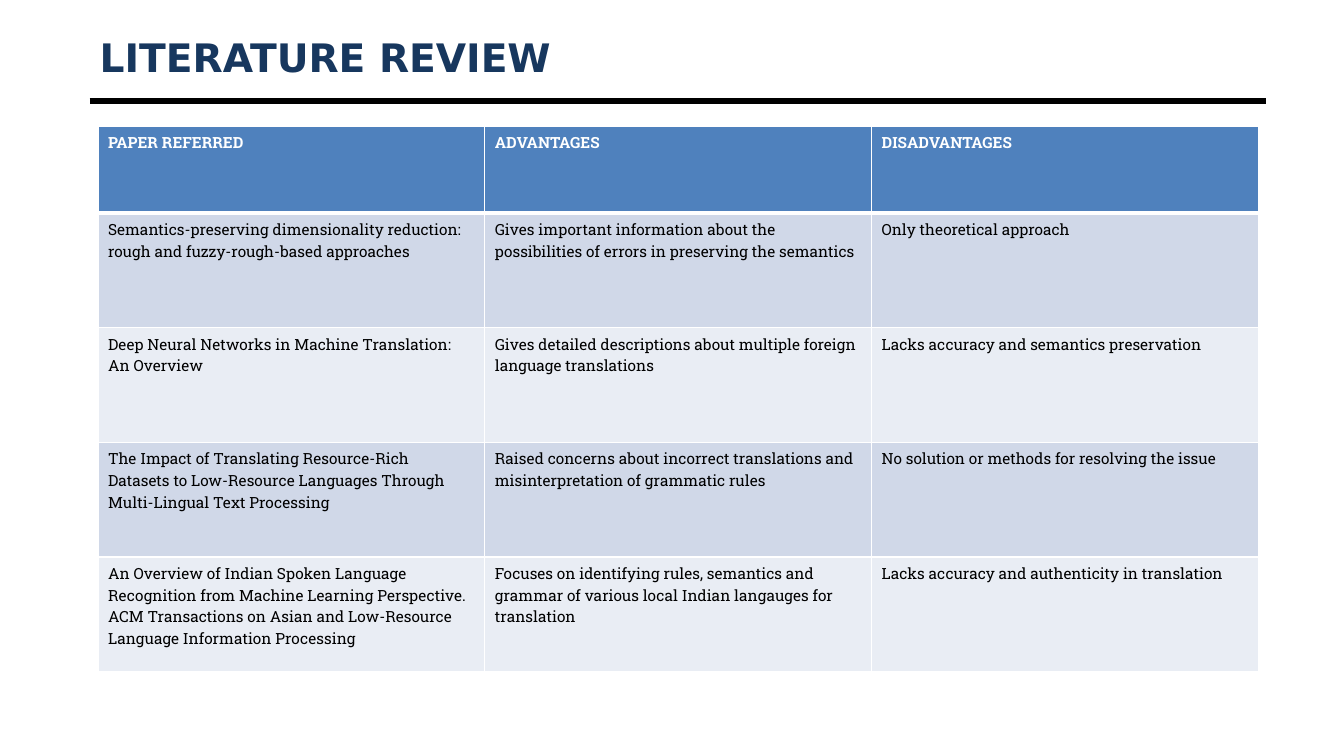
from lxml import etree
from pptx import Presentation
from pptx import util as u
from pptx.dml.color import RGBColor
from pptx.enum import shapes, text
from pptx.oxml.ns import qn

TITLE = "LITERATURE REVIEW"
ROWS = [
    ("PAPER REFERRED", "ADVANTAGES", "DISADVANTAGES"),
    ("Semantics-preserving dimensionality reduction: rough and fuzzy-rough-based approaches",
     "Gives important information about the possibilities of errors in preserving the semantics",
     "Only theoretical approach"),
    ("Deep Neural Networks in Machine Translation: An Overview",
     "Gives detailed descriptions about multiple foreign language translations",
     "Lacks accuracy and semantics preservation"),
    ("The Impact of Translating Resource-Rich Datasets to Low-Resource Languages "
     "Through Multi-Lingual Text Processing",
     "Raised concerns about incorrect translations and misinterpretation of grammatic rules",
     "No solution or methods for resolving the issue"),
    ("An Overview of Indian Spoken Language Recognition from Machine Learning Perspective. "
     "ACM Transactions on Asian and Low-Resource Language Information Processing",
     "Focuses on identifying rules, semantics and grammar of various local Indian langauges "
     "for translation",
     "Lacks accuracy and authenticity in translation"),
]

NAVY = RGBColor(0x17, 0x37, 0x5E)
BLACK = RGBColor(0, 0, 0)
WHITE = RGBColor(0xFF, 0xFF, 0xFF)
HEADER_BLUE = RGBColor(0x4F, 0x81, 0xBD)
BANDS = (RGBColor(0xE9, 0xED, 0xF4), RGBColor(0xD0, 0xD8, 0xE8))

LEFT, WIDTH = 64, 840
TABLE_LEFT, TABLE_TOP, COLUMN_WIDTH = 70, 90, 276.3
HEADER_HEIGHT, ROW_HEIGHT = 62.2, 81.9


def add_span(para, words, font, size, color, bold):
    span = para.add_run()
    span.text = words
    span.font.name = font
    span.font.size = u.Pt(size)
    span.font.color.rgb = color
    span.font.bold = bold


def add_border(cell, side, width):
    """Draw a white border; call before filling the cell."""
    line = etree.SubElement(cell._tc.get_or_add_tcPr(), qn(f"a:ln{side}"), w=str(u.Pt(width)))
    fill = etree.SubElement(line, qn("a:solidFill"))
    etree.SubElement(fill, qn("a:srgbClr"), val=str(WHITE))


def add_title(page):
    title = page.shapes.title
    title.left, title.top = u.Pt(LEFT), u.Pt(21.6)
    title.width, title.height = u.Pt(WIDTH), u.Pt(38.2)
    frame = title.text_frame
    frame.vertical_anchor = text.MSO_ANCHOR.MIDDLE
    para = frame.paragraphs[0]
    para.alignment = text.PP_ALIGN.LEFT
    add_span(para, TITLE, "DejaVu Sans", 28, NAVY, True)


def add_rule(page):
    rule = page.shapes.add_connector(shapes.MSO_CONNECTOR.STRAIGHT, u.Pt(LEFT), u.Pt(72),
                                     u.Pt(LEFT + WIDTH), u.Pt(72))
    rule.line.color.rgb = BLACK
    rule.line.width = u.Pt(4.5)
    etree.SubElement(rule._element.spPr, qn("a:effectLst"))


def add_review_table(page):
    columns = len(ROWS[0])
    height = HEADER_HEIGHT + ROW_HEIGHT * (len(ROWS) - 1)
    table = page.shapes.add_table(len(ROWS), columns, u.Pt(TABLE_LEFT), u.Pt(TABLE_TOP),
                                  u.Pt(COLUMN_WIDTH * columns), u.Pt(height)).table
    for column in table.columns:
        column.width = u.Pt(COLUMN_WIDTH)
    for r, words in enumerate(ROWS):
        header = r == 0
        table.rows[r].height = u.Pt(HEADER_HEIGHT if header else ROW_HEIGHT)
        for c, entry in enumerate(words):
            cell = table.cell(r, c)
            for side in "LRTB":
                thick = (header and side == "B") or (r == 1 and side == "T")
                add_border(cell, side, 3 if thick else 1)
            cell.fill.solid()
            cell.fill.fore_color.rgb = HEADER_BLUE if header else BANDS[r % 2]
            para = cell.text_frame.paragraphs[0]
            para.line_spacing = 1.07
            para.space_after = u.Pt(8)
            add_span(para, entry, "Roboto Slab", 11, WHITE if header else BLACK, header)


def main():
    deck = Presentation()
    deck.slide_width, deck.slide_height = u.Pt(960), u.Pt(540)
    page = deck.slides.add_slide(deck.slide_layouts.get_by_name("Title Only"))
    add_rule(page)
    add_title(page)
    add_review_table(page)
    deck.save("out.pptx")


if __name__ == "__main__":
    main()
